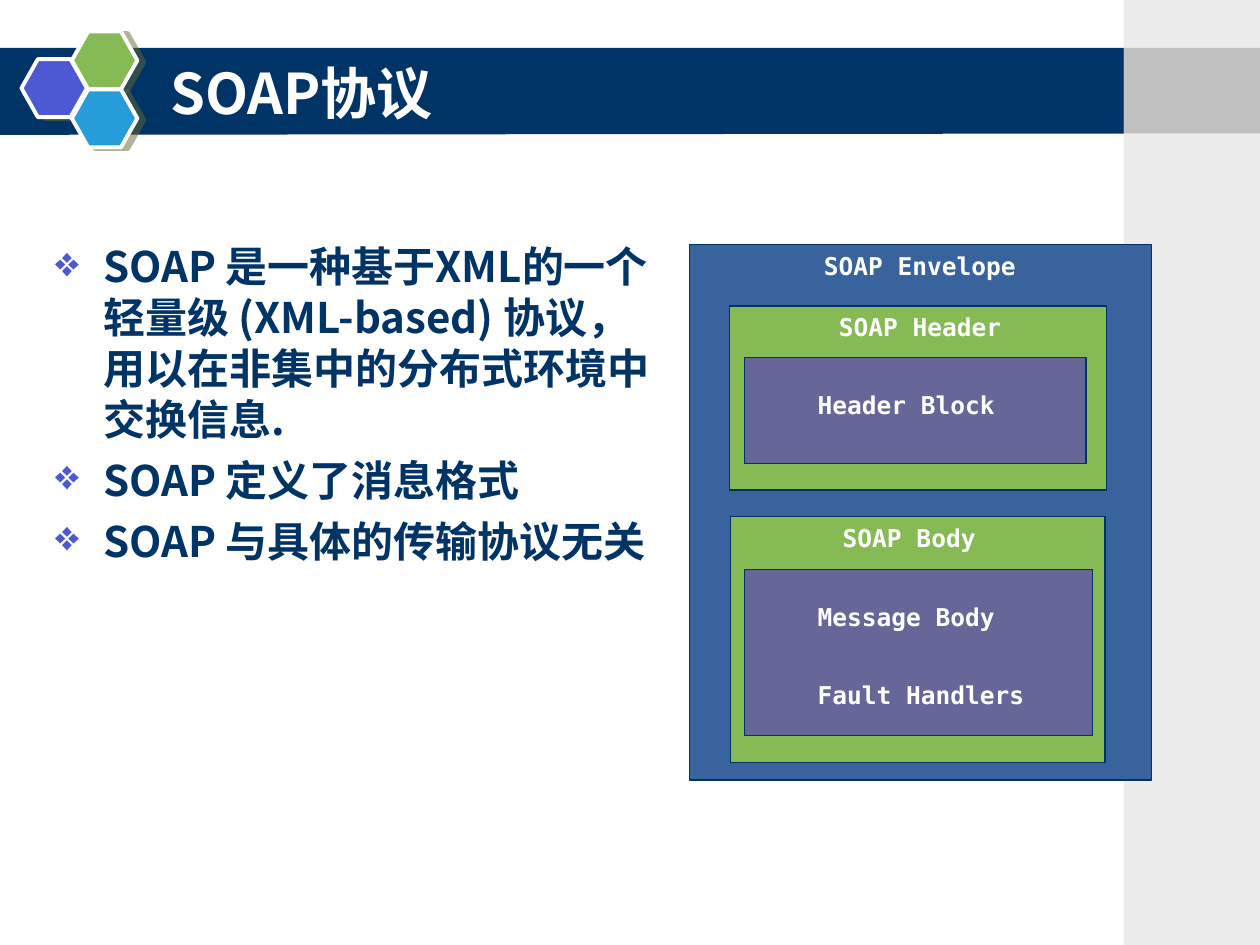
"""Build the SOAP protocol slide with its nested message diagram."""
import pptx
import pptx.util
import pptx.dml.color
import pptx.enum.shapes
import pptx.enum.text
import pptx.oxml
import pptx.oxml.ns

Inches, Pt = pptx.util.Inches, pptx.util.Pt
SHAPE = pptx.enum.shapes.MSO_SHAPE
ANCHOR = pptx.enum.text.MSO_ANCHOR

TITLE = "SOAP协议"
BULLETS = [
    "SOAP 是一种基于XML的一个轻量级 (XML-based) 协议，用以在非集中的分布式环境中交换信息.",
    "SOAP 定义了消息格式",
    "SOAP 与具体的传输协议无关",
]
COLORS = {
    "navy": "003366", "white": "FFFFFF", "indigo": "4C59D2", "green": "85BA54",
    "sky": "269DD8", "pale": "ECECEC", "silver": "C0C0C0", "blue": "39639D",
    "purple": "666699", "shade": "666633",
}
SANS, MONO = "Noto Sans CJK SC", "DejaVu Sans Mono"
WIDTH, HEIGHT = 10, 7.5
SIDE_LEFT, BAND_TOP, BAND_HEIGHT = 8.92, 0.38, 0.68
BAND = [(-0.01, 0.38), (8.94, 0.38), (8.93, 1.06), (-0.01, 1.07)]
HEX_SIZE = (0.52, 0.46)
HEXAGONS = [("indigo", 0.17, 0.47), ("green", 0.57, 0.25), ("sky", 0.57, 0.71)]
PANELS = [
    ("blue", (5.47, 1.94, 3.67, 4.25)),
    ("green", (5.79, 2.43, 2.99, 1.46)),
    ("purple", (5.91, 2.84, 2.71, 0.84)),
    ("green", (5.8, 4.1, 2.97, 1.95)),
    ("purple", (5.91, 4.52, 2.76, 1.32)),
]
LABEL_SIZE = (1.9, 0.34)
LABELS = [
    ("SOAP Envelope", 6.44, 1.94),
    ("SOAP Header", 6.56, 2.43),
    ("Header Block", 6.39, 3.05),
    ("SOAP Body", 6.59, 4.1),
    ("Message Body", 6.39, 4.73),
    ("Fault Handlers", 6.39, 5.35),
]


def rgb(name):
    return pptx.dml.color.RGBColor.from_string(COLORS[name])


def add_xml(parent, xml):
    head, tail = xml.split(" ", 1)
    parent.append(pptx.oxml.parse_xml(f"{head} {pptx.oxml.ns.nsdecls('a')} {tail}"))


def paint(sp, fill, line=None, width=0.75):
    sp.shadow.inherit = False
    sp.fill.solid()
    sp.fill.fore_color.rgb = rgb(fill)
    if line:
        sp.line.color.rgb = rgb(line)
        sp.line.width = Pt(width)
    else:
        sp.line.fill.background()


def add_box(s, kind, box, fill, line=None, width=0.75):
    sp = s.shapes.add_shape(kind, *map(Inches, box))
    paint(sp, fill, line, width)
    return sp


def add_hexagon(s, fill, left, top):
    sp = add_box(s, SHAPE.HEXAGON, (left, top, *HEX_SIZE), fill, "white", 2.25)
    sp.adjustments[0] = 0.283
    effects = sp.element.spPr.find(pptx.oxml.ns.qn("a:effectLst"))
    add_xml(effects, f'<a:outerShdw dist="{Pt(4.1)}" dir="{14 * 60000}" algn="ctr" rotWithShape="0">'
            f'<a:srgbClr val="{COLORS["shade"]}"><a:alpha val="50000"/></a:srgbClr></a:outerShdw>')


def style(p, size, color, face):
    p.alignment = pptx.enum.text.PP_ALIGN.LEFT
    p.font.size, p.font.bold, p.font.name = Pt(size), True, face
    p.font.color.rgb = rgb(color)
    add_xml(p.font._element if hasattr(p.font, "_element") else p._p.pPr.find(pptx.oxml.ns.qn("a:defRPr")),
            f'<a:ea typeface="{face}"/>')


def add_text(s, box):
    tf = s.shapes.add_textbox(*map(Inches, box)).text_frame
    tf.word_wrap = True
    return tf


def add_bullets(s):
    tf = add_text(s, (0.34, 1.86, 5.06, 5.06))
    for i, text in enumerate(BULLETS):
        p = tf.paragraphs[0] if i == 0 else tf.add_paragraph()
        p.text = text
        pPr = p._p.get_or_add_pPr()
        pPr.set("marL", str(Inches(0.38)))
        pPr.set("indent", str(-Inches(0.38)))
        add_xml(pPr, f'<a:buClr ><a:srgbClr val="{COLORS["indigo"]}"/></a:buClr>')
        add_xml(pPr, '<a:buChar char="❖"/>')
        p.line_spacing = Pt(29)
        p.space_before = Pt(6 if i else 0)
        style(p, 24, "navy", SANS)


def set_title(s):
    title = s.shapes.title
    title.element.getparent().append(title.element)
    title.left, title.top, title.width, title.height = map(Inches, (1.25, 0.42, 7.42, 0.62))
    tf = title.text_frame
    tf.text = TITLE
    tf.vertical_anchor = ANCHOR.MIDDLE
    tf.auto_size = pptx.enum.text.MSO_AUTO_SIZE.NONE
    style(tf.paragraphs[0], 32, "white", SANS)


def main():
    prs = pptx.Presentation()
    prs.slide_width, prs.slide_height = Inches(WIDTH), Inches(HEIGHT)
    s = prs.slides.add_slide(prs.slide_layouts[5])

    start, *rest = [(Inches(x), Inches(y)) for x, y in BAND]
    builder = s.shapes.build_freeform(*start)
    builder.add_line_segments(rest)
    paint(builder.convert_to_shape(), "navy")
    for hexagon in HEXAGONS:
        add_hexagon(s, *hexagon)
    side = WIDTH - SIDE_LEFT
    add_box(s, SHAPE.RECTANGLE, (SIDE_LEFT, 0, side, HEIGHT), "pale")
    add_box(s, SHAPE.RECTANGLE, (SIDE_LEFT, BAND_TOP, side, BAND_HEIGHT), "silver")

    set_title(s)
    add_bullets(s)
    for fill, box in PANELS:
        add_box(s, SHAPE.RECTANGLE, box, fill, "navy")
    for text, left, top in LABELS:
        tf = add_text(s, (left, top, *LABEL_SIZE))
        tf.text = text
        style(tf.paragraphs[0], 14, "white", MONO)
    prs.save("out.pptx")


if __name__ == "__main__":
    main()
